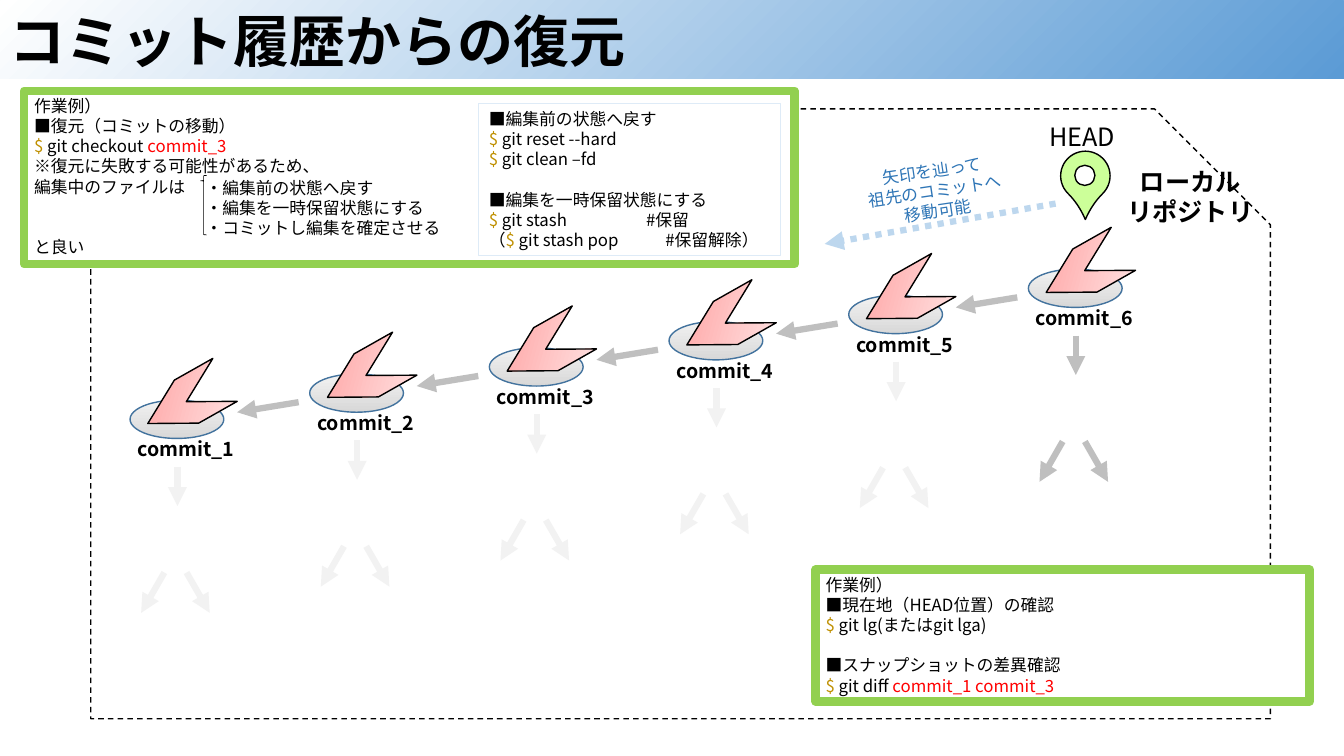
from dataclasses import dataclass

from lxml import etree
from pptx import Presentation
from pptx.dml.color import RGBColor
from pptx.enum import dml, shapes, text
from pptx.oxml import ns
from pptx.util import Inches, Pt


@dataclass(frozen=True)
class Theme:
    font: str = "Noto Sans CJK JP"
    black: str = "000000"
    white: str = "FFFFFF"
    prompt: str = "BF9000"
    accent: str = "FF0000"
    note: str = "2E75B6"
    note_arrow: str = "BDD7EE"
    frame: str = "92D050"
    pale_frame: str = "DEEBF7"
    arrow: str = "BFBFBF"
    faded_arrow: str = "F2F2F2"
    disc_edge: str = "43739E"
    pin: str = "CCFF99"
    banner: tuple = ("5B9BD5", "FFFFFF")
    disc: tuple = ("D8D8D8", "F2F2F2")
    flag: tuple = ("FFA0A0", "FFE3E3")
    title: int = 40
    heading: int = 18
    label: int = 14
    body: int = 12
    leading: float = 1.2


THEME = Theme()
SHAPE = shapes.MSO_SHAPE


@dataclass
class Line:
    """One paragraph: (text, colour) spans, blank lines before it, tab stop in inches."""
    spans: list
    gap: int = 0
    tab: float = 0


def plain(words, color=THEME.black, gap=0):
    return Line([(words, color)], gap)


def command(words, accent="", before="", tab=0):
    """A shell line with a coloured prompt and an optional highlighted end."""
    spans = [(before, THEME.black), ("$", THEME.prompt),
             (" " + words, THEME.black), (accent, THEME.accent)]
    return Line([span for span in spans if span[0]], tab=tab)


def write(shape, lines, size=THEME.body, bold=False, align=text.PP_ALIGN.LEFT,
          anchor=text.MSO_ANCHOR.TOP):
    frame = shape.text_frame
    frame.word_wrap = True
    frame.vertical_anchor = anchor
    leading = Pt(size * THEME.leading)
    for number, line in enumerate(lines):
        para = frame.add_paragraph() if number else frame.paragraphs[0]
        para.alignment = align
        para.line_spacing = leading
        if line.gap:
            para.space_before = leading * line.gap
        if line.tab:
            stops = etree.SubElement(para._p.get_or_add_pPr(), ns.qn("a:tabLst"))
            etree.SubElement(stops, ns.qn("a:tab"), pos=str(Inches(line.tab)), algn="l")
        for words, color in line.spans:
            span = para.add_run()
            span.text = words
            span.font.size = Pt(size)
            span.font.bold = bold
            span.font.color.rgb = RGBColor.from_string(color)
            span.font.name = THEME.font
            etree.SubElement(span._r.get_or_add_rPr(), ns.qn("a:ea"), typeface=THEME.font)


def add_text(page, area, lines, rotation=0, **style):
    box = page.shapes.add_textbox(*map(Inches, area))
    box.rotation = rotation
    write(box, lines, **style)


def add_figure(page, kind, area, fill=None, angle=0, line=None, width=1,
               dash=None, rotation=0, adjust=()):
    """Add a preset shape; a pair of colours as fill gives a gradient, angle clockwise."""
    figure = page.shapes.add_shape(kind, *map(Inches, area))
    figure.shadow.inherit = False
    figure.rotation = rotation
    for index, value in enumerate(adjust):
        figure.adjustments[index] = value
    if isinstance(fill, tuple):
        figure.fill.gradient()
        figure.fill.gradient_angle = 360 - angle
        for stop, color in zip(figure.fill.gradient_stops, fill):
            stop.color.rgb = RGBColor.from_string(color)
    elif fill:
        figure.fill.solid()
        figure.fill.fore_color.rgb = RGBColor.from_string(fill)
    else:
        figure.fill.background()
    if line:
        figure.line.color.rgb = RGBColor.from_string(line)
        figure.line.width = Pt(width)
        figure.line.dash_style = dash
    else:
        figure.line.fill.background()
    return figure


def add_arrow(page, start, end, color, dash=None):
    arrow = page.shapes.add_connector(shapes.MSO_CONNECTOR.STRAIGHT,
                                      *map(Inches, (*start, *end)))
    arrow.line.color.rgb = RGBColor.from_string(color)
    arrow.line.width = Pt(4.5)
    arrow.line.dash_style = dash
    etree.SubElement(arrow.line._get_or_add_ln(), ns.qn("a:tailEnd"), type="triangle")
    etree.SubElement(arrow._element.spPr, ns.qn("a:effectLst"))


def add_commit(page, left, top, name, tree_color, has_parent):
    def arrow(start, end, color):
        add_arrow(page, (left + start[0], top + start[1]),
                  (left + end[0], top + end[1]), color)

    add_figure(page, SHAPE.OVAL, (left, top, 0.93, 0.38), THEME.disc, 270, THEME.disc_edge)
    flag = add_figure(page, SHAPE.CHEVRON, (left + 0.12, top - 0.23, 0.88, 0.49), THEME.flag,
                      135, THEME.black, rotation=330.5, adjust=[0.9])
    flag._element.spPr.xfrm.set("flipH", "1")
    add_text(page, (left - 0.13, top + 0.32, 1.37, 0.34), [plain(name)],
             size=THEME.label, bold=True, align=text.PP_ALIGN.CENTER)
    arrow((0.47, 0.66), (0.47, 1.05), tree_color)
    arrow((0.56, 1.71), (0.79, 2.11), tree_color)
    arrow((0.34, 1.71), (0.11, 2.11), tree_color)
    if has_parent:
        arrow((-0.11, 0.28), (-0.72, 0.38), THEME.arrow)


def add_history(page, count=6):
    for index in range(count):
        is_head = index == count - 1
        add_commit(page, 1.29 + 1.782 * index, 3.97 - 0.26 * index, f"commit_{index + 1}",
                   THEME.arrow if is_head else THEME.faded_arrow, index > 0)


def add_head_pin(page):
    add_figure(page, SHAPE.TEAR, (10.52, 1.5, 0.49, 0.49), THEME.pin, line=THEME.black,
               rotation=135, adjust=[1.25])
    add_figure(page, SHAPE.OVAL, (10.66, 1.64, 0.2, 0.2), THEME.white, line=THEME.black)
    add_text(page, (10.31, 1.15, 0.91, 0.4), [plain("HEAD")], size=THEME.heading)


def add_panel(page, area, lines, line, width):
    write(add_figure(page, SHAPE.RECTANGLE, area, THEME.white, line=line, width=width), lines)


def add_restore_example(page):
    add_panel(page, (0.24, 0.9, 7.64, 1.72), [
        plain("作業例）"),
        plain("■復元（コミットの移動）"),
        command("git checkout ", "commit_3"),
        plain("※復元に失敗する可能性があるため、"),
        plain("編集中のファイルは"),
        plain("と良い", gap=2),
    ], THEME.frame, 6)
    add_text(page, (1.94, 1.71, 2.74, 0.71), [
        plain("・編集前の状態へ戻す"),
        plain("・編集を一時保留状態にする"),
        plain("・コミットし編集を確定させる"),
    ])
    add_figure(page, SHAPE.LEFT_BRACE, (1.99, 1.74, 0.06, 0.59),
               line=THEME.black, width=0.5, adjust=[0.08, 0.09])
    add_panel(page, (4.75, 1.03, 2.99, 1.51), [
        plain("■編集前の状態へ戻す"),
        command("git reset --hard"),
        command("git clean –fd"),
        plain("■編集を一時保留状態にする", gap=1),
        command("git stash\t#保留", tab=1.56),
        command("git stash pop\t#保留解除）", before="（", tab=1.75),
    ], THEME.pale_frame, 0.75)


def add_check_example(page):
    add_panel(page, (8.09, 5.65, 4.9, 1.31), [
        plain("作業例）"),
        plain("■現在地（HEAD位置）の確認"),
        command("git lg(またはgit lga)"),
        plain("■スナップショットの差異確認", gap=1),
        command("git diff ", "commit_1 commit_3"),
    ], THEME.frame, 6)


def add_ancestor_note(page):
    words = ("矢印を辿って", "祖先のコミットへ", "移動可能")
    add_text(page, (8.25, 1.54, 2.05, 0.71), [plain(line, THEME.note) for line in words],
             rotation=351.4, align=text.PP_ALIGN.CENTER)
    add_arrow(page, (10.47, 2.02), (8.18, 2.42), THEME.note_arrow, dml.MSO_LINE.ROUND_DOT)


def main():
    deck = Presentation()
    deck.slide_width, deck.slide_height = Inches(13.33), Inches(7.5)
    page = deck.slides.add_slide(deck.slide_layouts[6])

    add_figure(page, SHAPE.SNIP_1_RECTANGLE, (0.9, 1.08, 11.7, 6.05), line=THEME.black,
               dash=dml.MSO_LINE.DASH, adjust=[0.19])
    banner = add_figure(page, SHAPE.RECTANGLE, (0, 0.01, 13.33, 0.77), THEME.banner, 225)
    write(banner, [plain("コミット履歴からの復元")], size=THEME.title, bold=True,
          anchor=text.MSO_ANCHOR.BOTTOM)
    add_text(page, (11, 1.6, 1.61, 0.71), [plain("ローカル"), plain("リポジトリ")],
             size=THEME.heading, bold=True, align=text.PP_ALIGN.CENTER)
    add_history(page)
    add_head_pin(page)
    add_check_example(page)
    add_restore_example(page)
    add_ancestor_note(page)
    deck.save("out.pptx")


if __name__ == "__main__":
    main()
